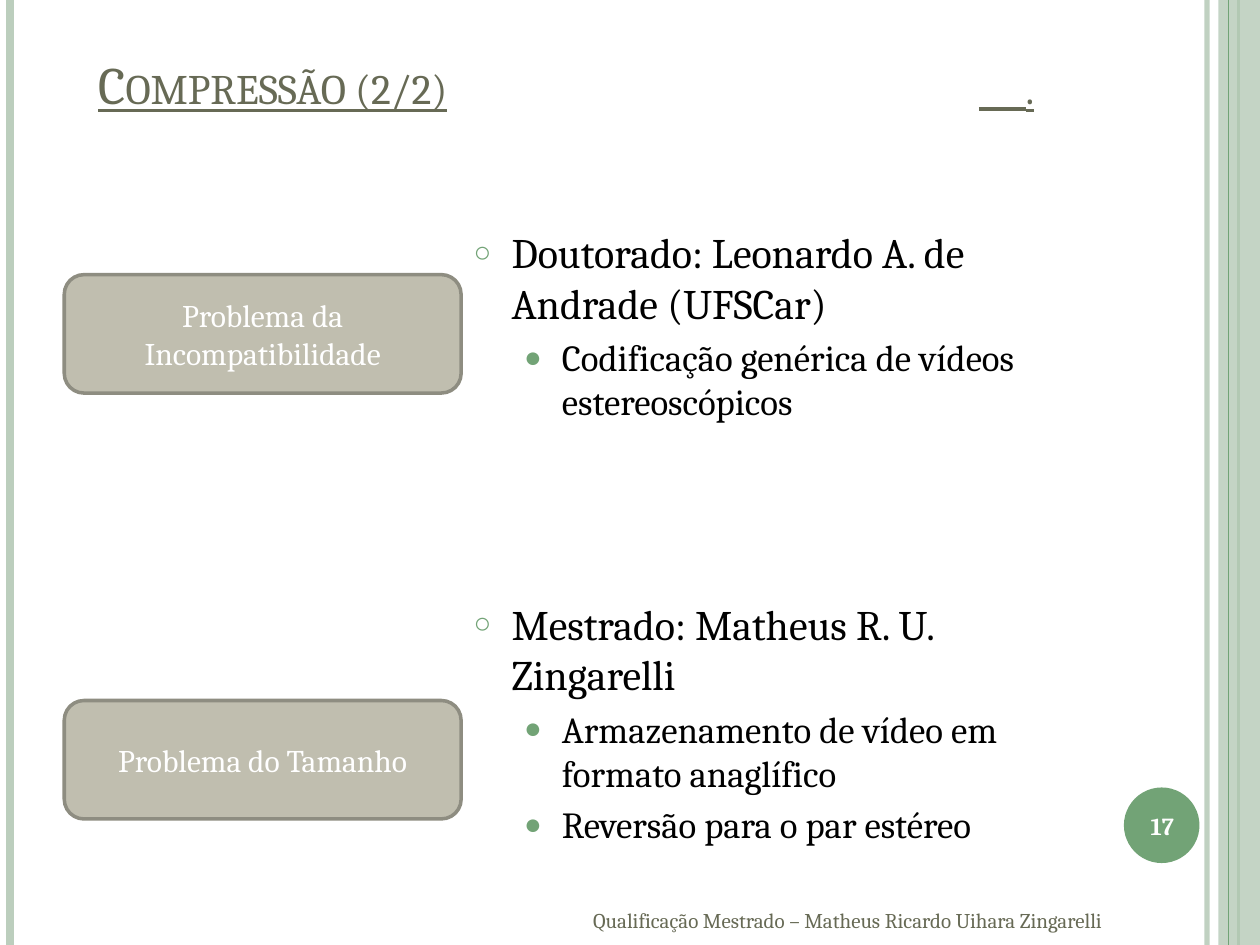
from lxml import etree
from pptx import Presentation
from pptx import util as u
from pptx.dml.color import RGBColor
from pptx.enum import shapes, text
from pptx.oxml import ns

GREEN = RGBColor(0x72, 0xA3, 0x76)
PALE = RGBColor(0xBC, 0xCE, 0xBD)
OLIVE = RGBColor(0x67, 0x6A, 0x55)
SAND = RGBColor(0xC0, 0xBE, 0xAF)
STONE = RGBColor(0x8E, 0x8D, 0x81)
BLACK = RGBColor(0, 0, 0)
WHITE = RGBColor(255, 255, 255)
COLS, ROWS = 100, 75
LEFT, MID = text.PP_ALIGN.LEFT, text.PP_ALIGN.CENTER
KIND = shapes.MSO_SHAPE


def sub(node, tag, **keys):
    return etree.SubElement(node, ns.qn(tag), **keys)


def fade(fill, share):
    tone = next(fill.iter(ns.qn("a:srgbClr")))
    sub(tone, "a:alpha", val=str(share * 1000))


class Deck:
    """Holds the style and the current slide, placed on a 100 by 75 grid."""

    def __init__(self, font):
        self.font = font
        self.prs = Presentation()
        self.prs.slide_width, self.prs.slide_height = u.Inches(10), u.Inches(7.5)
        self.cell = self.prs.slide_width / COLS
        self.slide = self.prs.slides.add_slide(self.prs.slide_layouts[1])

    def grid(self, *spots):
        return [u.Emu(round(spot * self.cell)) for spot in spots]

    def run(self, para, words, size, tone, bold=False):
        run = para.add_run()
        run.text = words
        face = run.font
        face.name, face.size, face.bold = self.font, u.Pt(size), bold
        face.color.rgb = tone
        return run

    def frame(self, shape, anchor):
        frame = shape.text_frame
        frame.word_wrap = True
        frame.auto_size = text.MSO_AUTO_SIZE.NONE
        frame.vertical_anchor = anchor
        return frame

    def place(self, shape, spot):
        shape.left, shape.top, shape.width, shape.height = self.grid(*spot)

    def line(self, ends, tone, width, share=100):
        line = self.slide.shapes.add_connector(
            shapes.MSO_CONNECTOR.STRAIGHT, *self.grid(*ends))
        line.line.color.rgb, line.line.width = tone, u.Pt(width)
        sub(line._element.spPr, "a:effectLst")
        if share < 100:
            fade(line._element.spPr, share)

    def shape(self, kind, spot, tone, edge=None, share=100):
        shape = self.slide.shapes.add_shape(kind, *self.grid(*spot))
        shape.shadow.inherit = False
        shape.fill.solid()
        shape.fill.fore_color.rgb = tone
        if share < 100:
            fade(shape._element.spPr, share)
        if edge is None:
            shape.line.fill.background()
        else:
            shape.line.color.rgb, shape.line.width = edge, u.Pt(2)
        return shape

    def label(self, shape, words, size, tone, align=MID, bold=False):
        para = self.frame(shape, text.MSO_ANCHOR.MIDDLE).paragraphs[0]
        para.alignment = align
        self.run(para, words, size, tone, bold)

    def note(self, spot, *style, **more):
        box = self.slide.shapes.add_textbox(*self.grid(*spot))
        self.label(box, *style, **more)

    def title(self, spot, words, stop):
        shape = self.slide.shapes.title
        self.place(shape, spot)
        para = self.frame(shape, text.MSO_ANCHOR.TOP).paragraphs[0]
        para.alignment = LEFT
        tabs = sub(para._p.get_or_add_pPr(), "a:tabLst")
        sub(tabs, "a:tab", pos=str(self.grid(stop)[0]), algn="l")
        for part in words:
            run = self.run(para, part, 30, OLIVE)
            run.font.underline = True
            run._r.get_or_add_rPr().set("cap", "small")

    def list(self, spot, items):
        shape = self.slide.placeholders[1]
        self.place(shape, spot)
        frame = self.frame(shape, text.MSO_ANCHOR.TOP)
        for pos, (level, gap, words) in enumerate(items):
            para = frame.add_paragraph() if pos else frame.paragraphs[0]
            size, mark, scale, dent = ((24, "○", 70, 3), (21, "●", 80, 7))[level]
            para.level, para.space_before = level, u.Pt(gap)
            self.run(para, words, size, BLACK)
            prop = para._p.get_or_add_pPr()
            prop.set("marL", str(self.grid(dent)[0]))
            prop.set("indent", str(self.grid(-3)[0]))
            sub(sub(prop, "a:buClr"), "a:srgbClr", val=str(GREEN))
            sub(prop, "a:buSzPct", val=str(scale * 1000))
            sub(prop, "a:buChar", char=mark)


def main():
    deck = Deck("Cambria")
    for col, tone, width, share in (
            (95.8, PALE, 3, 93), (0.8, PALE, 4.5, 100), (98.3, GREEN, 1.5, 100)):
        deck.line((col, 0, col, ROWS), tone, width, share)
    deck.shape(KIND.RECTANGLE, (96.7, 0, 3.3, ROWS), PALE, share=87)
    deck.line((97.5, 0, 97.5, ROWS), GREEN, 0.75)
    deck.shape(KIND.OVAL, (89.2, 62.5, 6, 6), GREEN)
    deck.list((36.6, 17.5, 50.1, 53.3), (
        (0, 6, "Doutorado: Leonardo A. de Andrade (UFSCar)"),
        (1, 4.2, "Codificação genérica de vídeos estereoscópicos"),
        (0, 100, "Mestrado: Matheus R. U. Zingarelli"),
        (1, 4.2, "Armazenamento de vídeo em formato anaglífico"),
        (1, 4.2, "Reversão para o par estéreo")))
    deck.note((88.9, 62.7, 6.7, 5.7), "17", 14, WHITE, bold=True)
    for row, words in ((21.8, "Problema da Incompatibilidade"),
                       (55.6, "Problema do Tamanho")):
        box = deck.shape(KIND.ROUNDED_RECTANGLE, (5.1, row, 31.5, 9.4), SAND, STONE)
        deck.label(box, words, 18, WHITE)
    deck.note((46.1, 71, 49.6, 4),
              "Qualificação Mestrado – Matheus Ricardo Uihara Zingarelli",
              12, OLIVE, align=LEFT)
    deck.title((6.8, 3.6, 89.6, 12.5), ("Compressão (2/2)", "\t."), 73.6)
    deck.line((77.7, 8.65, 81.4, 8.65), OLIVE, 1.75)
    deck.prs.save("out.pptx")


if __name__ == "__main__":
    main()
